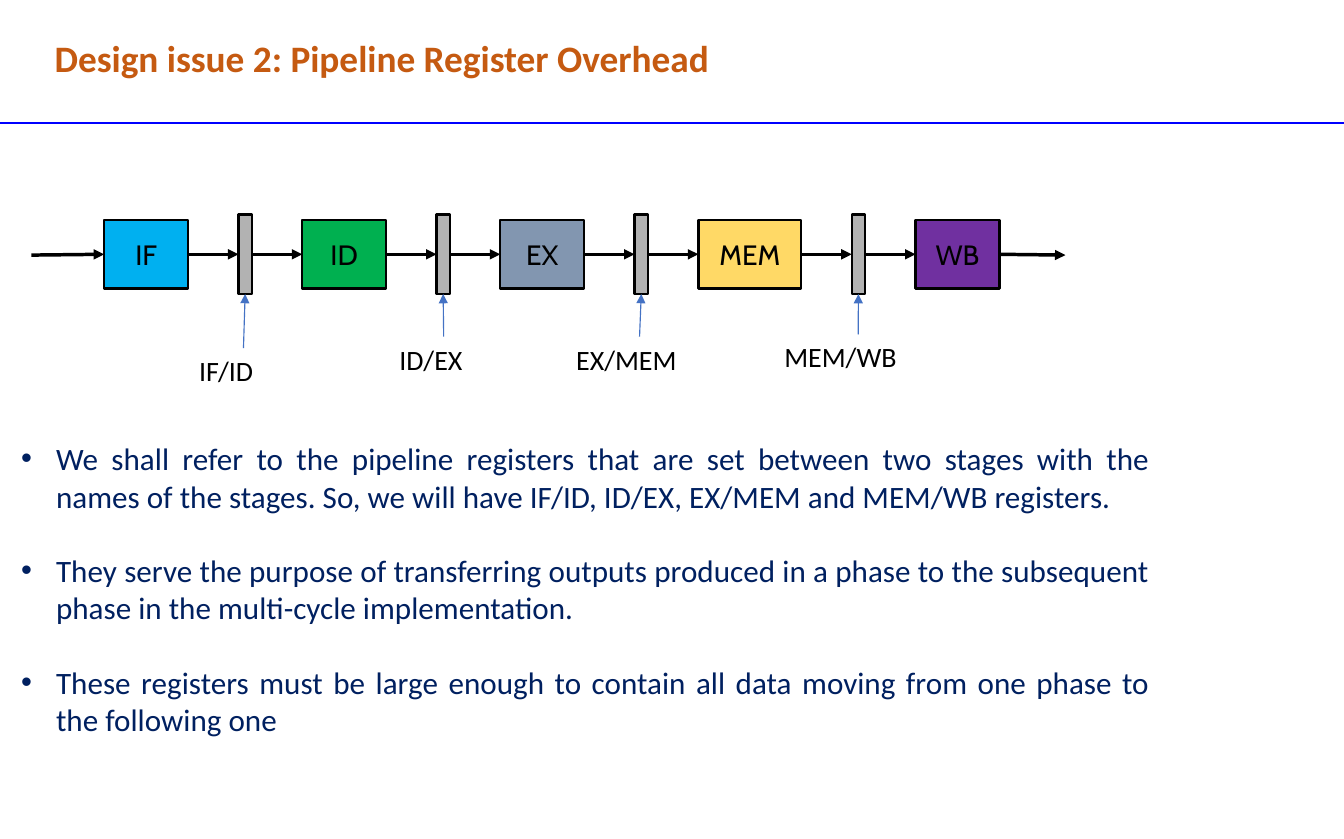
from lxml import etree
from pptx import Presentation
from pptx.dml.color import RGBColor
from pptx.enum import shapes, text
from pptx.oxml import ns
from pptx.util import Pt

deck = Presentation()
deck.slide_width, deck.slide_height = Pt(864.72), Pt(540)
slide = deck.slides.add_slide(deck.slide_layouts[6])
items = slide.shapes
rgb = RGBColor.from_string


def line(x1, y1, x2, y2, color="000000", width=2.25, arrow=True):
    link = items.add_connector(shapes.MSO_CONNECTOR.STRAIGHT,
                               Pt(x1), Pt(y1), Pt(x2), Pt(y2))
    link.line.color.rgb = rgb(color)
    link.line.width = Pt(width)
    if arrow:
        etree.SubElement(link.line._get_or_add_ln(), ns.qn("a:tailEnd"), type="triangle")
    etree.SubElement(link._element.spPr, ns.qn("a:effectLst"))


def box(x, y, w, h, words, size=18, color="000000", font="Calibri", fill=None):
    """Draw a text box, or an outlined block with centred text if fill is given."""
    place = Pt(x), Pt(y), Pt(w), Pt(h)
    if fill:
        item = items.add_shape(shapes.MSO_SHAPE.RECTANGLE, *place)
        item.shadow.inherit = False
        item.fill.solid()
        item.fill.fore_color.rgb = rgb(fill)
        item.line.color.rgb = rgb("000000")
        item.line.width = Pt(1.5)
    else:
        item = items.add_textbox(*place)
    frame = item.text_frame
    frame.word_wrap = True
    frame.text = words
    for par in frame.paragraphs:
        if fill:
            par.alignment = text.PP_ALIGN.CENTER
        for run in par.runs:
            run.font.size = Pt(size)
            run.font.name = font
            run.font.color.rgb = rgb(color)
    return frame


# Heading
line(0, 79.2, 864.72, 79.2, "0000FF", 0.75, arrow=False)
title = box(28, 19.4, 528.5, 36, "Design issue 2: Pipeline Register Overhead", 24, "C55A11")
title.paragraphs[0].runs[0].font.bold = True

# Pipeline: stage, gap, register, gap, next stage
mid, gap = 163.7, 32.4
reg_w, reg_h = 8.64, 51.1
stages = [("IF", 54, "00B0F0"), ("ID", 54, "00B050"), ("EX", 54, "8296B0"),
          ("MEM", 66.24, "FFD966"), ("WB", 54, "7030A0")]
labels = [("IF/ID", 121, 224, 71.3), ("ID/EX", 249.8, 216.7, 71.3),
          ("EX/MEM", 363.6, 216.7, 95.8), ("MEM/WB", 497.5, 215.3, 109.4)]

x = 67
line(20.2, mid + 0.5, x, mid)
for i, (name, width, fill) in enumerate(stages):
    box(x, mid - 22, width, 44, name, font="Cabin", fill=fill)
    x += width
    if i == len(labels):
        line(x, mid, x + 42.5, mid + 0.5)
        break
    line(x, mid, x + gap, mid)
    x += gap
    box(x, mid - reg_h / 2, reg_w, reg_h, "", fill="B2B2B2")
    label, left, top, wide = labels[i]
    box(left, top, wide, 29, label)
    line(left + wide / 2, top, x + reg_w / 2, mid + reg_h / 2, "4472C4", 0.75)
    x += reg_w
    line(x, mid, x + gap, mid)
    x += gap

# Notes on the registers
notes = [
    "We shall refer to the pipeline registers that are set between two stages with the "
    "names of the stages. So, we will have IF/ID, ID/EX, EX/MEM and MEM/WB registers.",
    "They serve the purpose of transferring outputs produced in a phase to the "
    "subsequent phase in the multi-cycle implementation.",
    "These registers must be large enough to contain all data moving from one phase "
    "to the following one",
]
body = box(6.5, 279.4, 740.2, 201, "\n".join(notes), 20, "002060")
for i, par in enumerate(body.paragraphs):
    props = par._p.get_or_add_pPr()
    props.set("marL", str(Pt(22.5)))
    props.set("indent", str(Pt(-22.5)))
    tint = etree.SubElement(props, ns.qn("a:buClr"))
    etree.SubElement(tint, ns.qn("a:srgbClr"), val="002060")
    etree.SubElement(props, ns.qn("a:buFont"), typeface="Arial")
    etree.SubElement(props, ns.qn("a:buChar"), char="•")
    par.alignment = text.PP_ALIGN.JUSTIFY
    if i:
        par.space_before = Pt(24)

deck.save("out.pptx")
